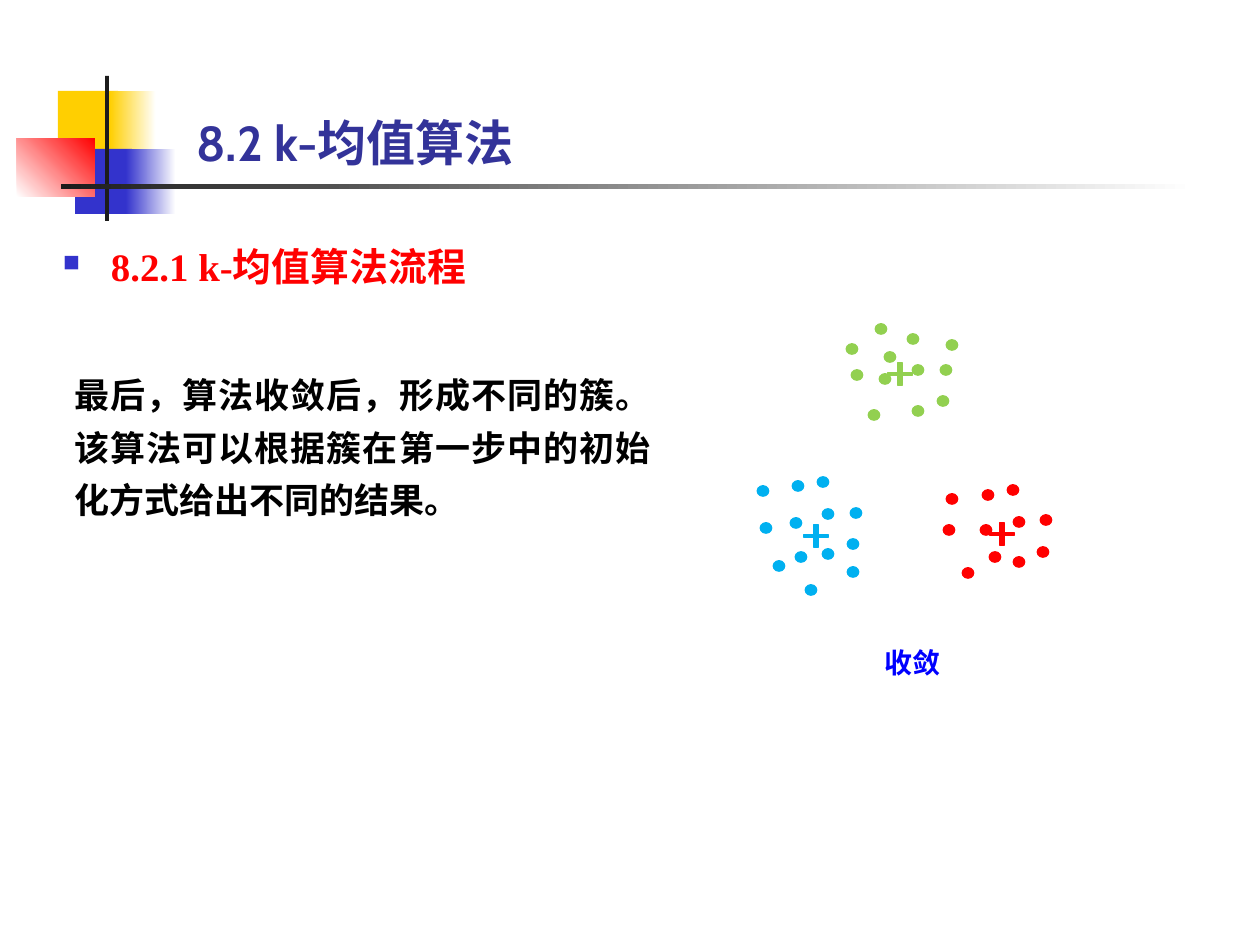
from lxml import etree
from pptx import Presentation
from pptx import util as u
from pptx.dml.color import RGBColor
from pptx.enum import shapes, text
from pptx.oxml.ns import qn

PX = 914400 / 126  # EMU in one px
SLIDE_SIZE = (1260, 945)
DOT_SIZE = (11, 10)
CROSS_SIZE = (25, 23)
CROSS_NOTCH = 0.454

# box, colours (two make a gradient), gradient angle
DECORATION = [
    ((58, 91, 60, 65), ["FFCF01"], 0),
    ((110, 91, 46, 65), ["FFCF01", "FFFFFF"], 0),
    ((75, 149, 57, 65), ["3333CC"], 0),
    ((126, 149, 50, 65), ["3333CC", "FFFFFF"], 0),
    ((17, 138, 78, 59), ["FFFFFF", "FF0000"], 45),
    ((105, 76, 4, 145), ["1C1C1C"], 0),
    ((61, 184, 1134, 5), ["1C1C1C", "FFFFFF"], 0),
]

# colour, cross centre, dot centres
CLUSTERS = [
    ("00B0F0", (816, 536), [
        (798, 486), (823, 482), (763, 491), (796, 523), (828, 554), (856, 513), (811, 590),
        (853, 544), (853, 572), (828, 514), (779, 566), (766, 528), (801, 557)]),
    ("92D050", (900, 374), [
        (881, 329), (913, 339), (852, 349), (885, 379), (918, 411), (946, 370),
        (952, 345), (943, 401), (857, 375), (918, 370), (874, 415), (890, 357)]),
    ("FF0000", (1002, 534), [
        (988, 495), (1013, 490), (952, 499), (986, 530), (1019, 562), (1046, 520),
        (995, 557), (1043, 552), (949, 530), (1019, 522), (968, 573)]),
]

TITLE = "8.2 k-均值算法"
HEADING = "8.2.1 k-均值算法流程"
BODY = "最后，算法收敛后，形成不同的簇。该算法可以根据簇在第一步中的初始化方式给出不同的结果。"
CAPTION = "收敛"


def px(length):
    return u.Emu(round(length * PX))


def rgb(color):
    return RGBColor.from_string(color)


def add_shape(slide, kind, box, colors, angle=0):
    shape = slide.shapes.add_shape(kind, *map(px, box))
    shape.shadow.inherit = False
    shape.line.fill.background()
    if len(colors) == 1:
        shape.fill.solid()
        shape.fill.fore_color.rgb = rgb(colors[0])
    else:
        shape.fill.gradient()
        shape.fill.gradient_angle = angle
        for stop, color in zip(shape.fill.gradient_stops, colors):
            stop.color.rgb = rgb(color)
    return shape


def add_mark(slide, kind, center, size, color):
    """Add an outlined shape placed by its centre."""
    corner = [c - s / 2 for c, s in zip(center, size)]
    shape = add_shape(slide, kind, (*corner, *size), [color])
    shape.line.color.rgb = rgb(color)
    shape.line.width = u.Pt(1)
    return shape


def add_text(slide, box, words, size, color, font="Cabin", anchor=text.MSO_ANCHOR.TOP, wrap=True):
    """Add a one-paragraph box and return its frame and paragraph."""
    frame = slide.shapes.add_textbox(*map(px, box)).text_frame
    frame.word_wrap = wrap
    frame.vertical_anchor = anchor
    paragraph = frame.paragraphs[0]
    run = paragraph.add_run()
    run.text = words
    run.font.name = font
    run.font.size = u.Pt(size)
    run.font.bold = True
    run.font.color.rgb = rgb(color)
    return frame, paragraph


def add_bullet(paragraph, indent, color, percent, character):
    properties = paragraph._p.get_or_add_pPr()
    properties.set("marL", str(px(indent)))
    properties.set("indent", str(px(-indent)))
    bullet_color = etree.SubElement(properties, qn("a:buClr"))
    etree.SubElement(bullet_color, qn("a:srgbClr"), val=color)
    etree.SubElement(properties, qn("a:buSzPct"), val=str(percent * 1000))
    etree.SubElement(properties, qn("a:buChar"), char=character)


def main():
    presentation = Presentation()
    presentation.slide_width, presentation.slide_height = map(px, SLIDE_SIZE)
    slide = presentation.slides.add_slide(presentation.slide_layouts[6])

    for box, colors, angle in DECORATION:
        add_shape(slide, shapes.MSO_SHAPE.RECTANGLE, box, colors, angle)

    _, body = add_text(slide, (62, 357, 601, 170), BODY, 20, "000000")
    body.alignment = text.PP_ALIGN.JUSTIFY
    body.line_spacing = 1.25

    for color, cross_center, dots in CLUSTERS:
        for center in dots:
            add_mark(slide, shapes.MSO_SHAPE.OVAL, center, DOT_SIZE, color)
        cross = add_mark(slide, shapes.MSO_SHAPE.CROSS, cross_center, CROSS_SIZE, color)
        cross.adjustments[0] = CROSS_NOTCH

    add_text(slide, (872, 639, 91, 47), CAPTION, 16, "0000FF", wrap=False)
    add_text(slide, (184, 96, 407, 82), TITLE, 28, "333399", anchor=text.MSO_ANCHOR.BOTTOM)

    frame, heading = add_text(slide, (54, 214, 456, 96), HEADING, 22.2, "FF0000",
                              "Times New Roman", text.MSO_ANCHOR.MIDDLE)
    frame.margin_left, frame.margin_right = px(9), px(10)
    frame.margin_top = frame.margin_bottom = px(5)
    heading.line_spacing = 1.15
    add_bullet(heading, 48, "3333CC", 60, "■")

    presentation.save("out.pptx")


if __name__ == "__main__":
    main()
